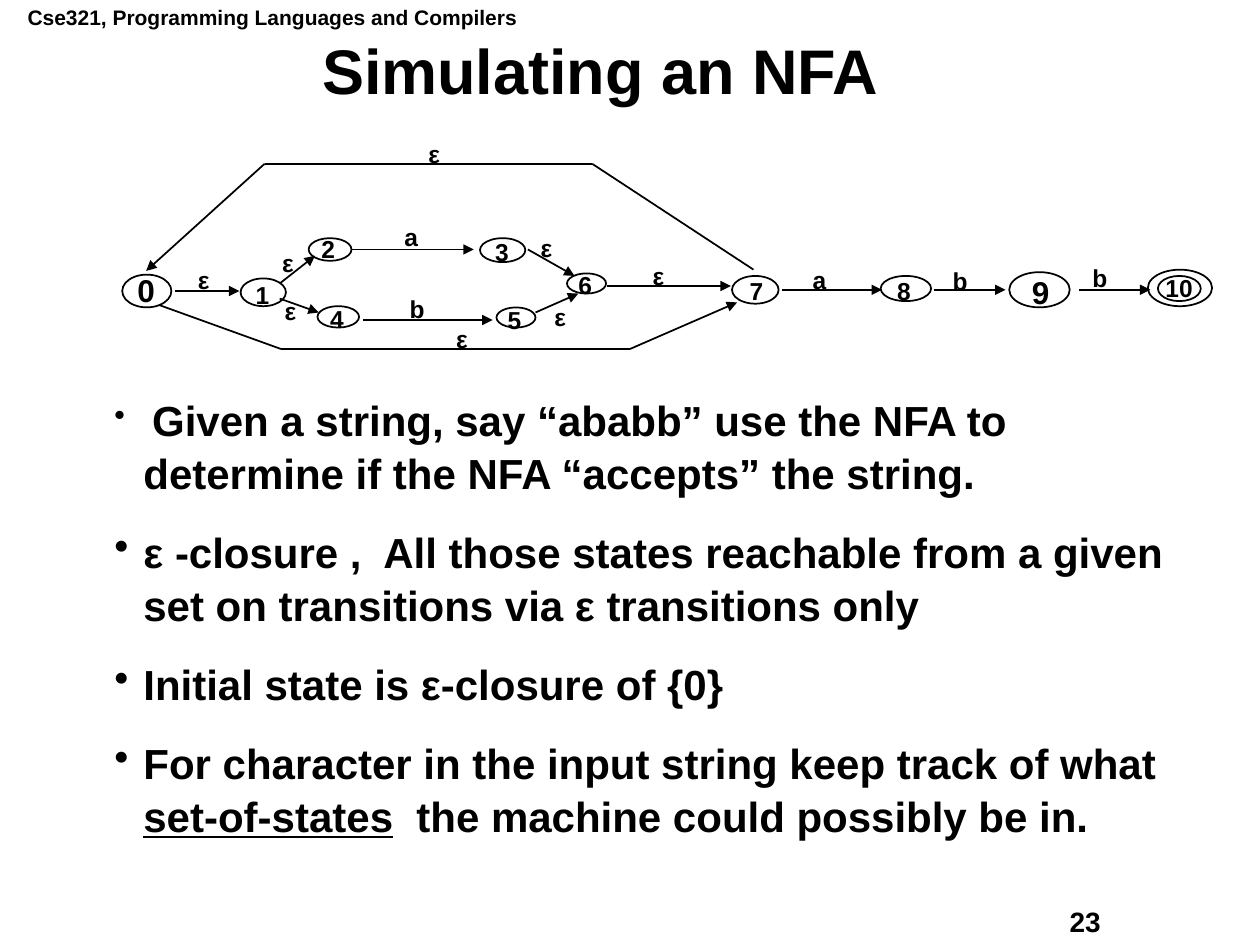
from dataclasses import dataclass

from pptx import Presentation
from pptx import util as u
from pptx.dml import color
from pptx.enum import shapes, text
from pptx.oxml import parse_xml
from pptx.oxml import ns


@dataclass(frozen=True)
class Theme:
    """Colours, font and type sizes of the slide."""
    ink: str = "000000"
    paper: str = "FFFFFF"
    font: str = "Arial"
    header: int = 12
    title: int = 36
    body: int = 24
    lead: int = 18
    state: int = 14
    big_state: int = 18
    page: int = 16
    rule: float = 1


THEME = Theme()
LABEL_HEIGHT = 0.31

STATES = [
    ("0", (0.97, 2.18, 0.39, 0.26), (1.01, 2.11), THEME.big_state),
    ("1", (1.91, 2.21, 0.36, 0.22), (1.95, 2.18), THEME.state),
    ("2", (2.45, 1.89, 0.34, 0.18), (2.47, 1.82), THEME.state),
    ("3", (3.81, 1.89, 0.36, 0.19), (3.85, 1.84), THEME.state),
    ("4", (2.52, 2.43, 0.33, 0.17), (2.54, 2.37), THEME.state),
    ("5", (3.94, 2.44, 0.31, 0.16), (3.95, 2.38), THEME.state),
    ("6", (4.5, 2.17, 0.31, 0.16), (4.51, 2.1), THEME.state),
    ("7", (5.81, 2.19, 0.37, 0.22), (5.87, 2.15), THEME.state),
    ("8", (6.99, 2.19, 0.4, 0.2), (7.04, 2.15), THEME.state),
    ("9", (8.01, 2.16, 0.48, 0.28), (8.11, 2.13), THEME.big_state),
    ("10", (9.19, 2.19, 0.34, 0.2), (9.17, 2.13), THEME.state),
]
ACCEPT_RING = (9.11, 2.14, 0.51, 0.29)

ROUTES = [
    [(1.39, 2.31), (1.9, 2.31)],
    [(2.22, 2.25), (2.5, 2.03)],
    [(2.22, 2.37), (2.53, 2.48)],
    [(2.79, 1.98), (3.76, 1.98)],
    [(2.88, 2.54), (3.91, 2.54)],
    [(4.19, 1.98), (4.56, 2.19)],
    [(4.25, 2.48), (4.59, 2.33)],
    [(4.82, 2.27), (5.8, 2.27)],
    [(6.21, 2.3), (7, 2.3)],
    [(7.41, 2.3), (7.98, 2.3)],
    [(8.56, 2.3), (9.13, 2.3)],
    [(5.98, 2.14), (4.7, 1.3), (2.1, 1.3), (1.16, 2.15)],
    [(1.26, 2.42), (2.23, 2.77), (5, 2.77), (5.85, 2.4)],
]

SYMBOLS = {
    "ε": [(1.49, 2.06), (2.16, 1.93), (2.18, 2.31), (4.21, 1.81), (4.32, 2.36),
          (5.1, 2.03), (3.32, 1.06), (3.54, 2.53)],
    "a": [(3.13, 1.72), (6.37, 2.06)],
    "b": [(3.17, 2.29), (7.48, 2.07), (8.59, 2.05)],
}
SYMBOL_WIDTHS = {"ε": 0.25, "a": 0.27, "b": 0.28}

BULLETS = [
    [(" ", THEME.lead, {}),
     ("Given a string, say “ababb” use the NFA to determine "
      "if the NFA “accepts” the string.", THEME.body, {})],
    [("ε -closure ,  All those states reachable from a given set "
      "on transitions via ε transitions only", THEME.body, {})],
    [("Initial state is ε-closure of {0}", THEME.body, {})],
    [("For character in the input string keep track of what ", THEME.body, {}),
     ("set-of-states", THEME.body, {"underline": True}),
     ("  the machine could possibly be in.", THEME.body, {})],
]


def apply(target, formats):
    """Set each named format value on the target."""
    for name, value in formats.items():
        setattr(target, name, value)


def rgb(value):
    """Turn a hex string into a colour."""
    return color.RGBColor.from_string(value)


def add_run(paragraph, words, size, **extra):
    """Add a bold run in the theme font."""
    run = paragraph.add_run()
    run.text = words
    apply(run.font, {"name": THEME.font, "size": u.Pt(size), "bold": True} | extra)
    run.font.color.rgb = rgb(THEME.ink)


def add_frame(slide, at, pad=0.1, wrap=True, anchor=text.MSO_ANCHOR.TOP):
    """Add an empty text box and return its frame."""
    frame = slide.shapes.add_textbox(*map(u.Inches, at)).text_frame
    apply(frame, {
        "word_wrap": wrap, "vertical_anchor": anchor,
        "auto_size": text.MSO_AUTO_SIZE.NONE if wrap
        else text.MSO_AUTO_SIZE.SHAPE_TO_FIT_TEXT,
        "margin_left": u.Inches(pad), "margin_right": u.Inches(pad),
        "margin_top": u.Inches(pad / 2), "margin_bottom": u.Inches(pad / 2),
    })
    return frame


def add_label(slide, words, spot, width, size):
    """Add a short diagram label."""
    frame = add_frame(slide, (*spot, width, LABEL_HEIGHT), pad=0.08, wrap=False)
    add_run(frame.paragraphs[0], words, size)


def add_oval(slide, at):
    """Add the outline of a state."""
    oval = slide.shapes.add_shape(shapes.MSO_SHAPE.OVAL, *map(u.Inches, at))
    oval.shadow.inherit = False
    oval.fill.solid()
    oval.fill.fore_color.rgb = rgb(THEME.paper)
    oval.line.color.rgb = rgb(THEME.ink)
    oval.line.width = u.Pt(THEME.rule)


def add_route(slide, points):
    """Join the points with lines and put an arrowhead on the last."""
    for start, end in zip(points, points[1:]):
        edge = slide.shapes.add_connector(
            shapes.MSO_CONNECTOR.STRAIGHT, *map(u.Inches, (*start, *end)))
        edge.line.color.rgb = rgb(THEME.ink)
        edge.line.width = u.Pt(THEME.rule)
        properties = edge._element.spPr
        if end == points[-1]:
            properties.find(ns.qn("a:ln")).append(parse_xml(
                f'<a:tailEnd {ns.nsdecls("a")} type="triangle"/>'))
        properties.append(parse_xml(f'<a:effectLst {ns.nsdecls("a")}/>'))


def add_bullets(slide, at, items):
    """Add the bulleted list."""
    frame = add_frame(slide, at)
    for index, runs in enumerate(items):
        paragraph = frame.add_paragraph() if index else frame.paragraphs[0]
        apply(paragraph, {"space_before": u.Pt(15), "line_spacing": 1.05})
        for words, size, extra in runs:
            add_run(paragraph, words, size, **extra)
        properties = paragraph._p.get_or_add_pPr()
        hang = u.Inches(0.23)
        for name, value in {"marL": hang, "indent": -hang}.items():
            properties.set(name, str(value))
        properties.append(parse_xml(f'<a:buChar {ns.nsdecls("a")} char="•"/>'))


def add_diagram(slide):
    """Draw the automaton."""
    add_oval(slide, ACCEPT_RING)
    for _, oval, _, _ in STATES:
        add_oval(slide, oval)
    for points in ROUTES:
        add_route(slide, points)
    for name, _, spot, size in STATES:
        width = 0.16 + len(name) * size / 128
        add_label(slide, name, spot, width, size)
    for symbol, spots in SYMBOLS.items():
        for spot in spots:
            add_label(slide, symbol, spot, SYMBOL_WIDTHS[symbol], THEME.state)


def main():
    """Build and save the slide."""
    deck = Presentation()
    apply(deck, {"slide_width": u.Inches(10), "slide_height": u.Inches(7.5)})
    slide = deck.slides.add_slide(deck.slide_layouts[6])
    header = add_frame(slide, (0.12, -0.01, 4.09, 0.3), wrap=False)
    add_run(header.paragraphs[0], "Cse321, Programming Languages and Compilers",
            THEME.header)
    page = add_frame(slide, (8.39, 7.13, 1.27, 0.36))
    add_run(page.paragraphs[0], "23", THEME.page)
    title = add_frame(slide, (0.31, 0.31, 9.03, 0.56),
                      anchor=text.MSO_ANCHOR.MIDDLE)
    apply(title.paragraphs[0],
          {"alignment": text.PP_ALIGN.CENTER, "line_spacing": 0.9})
    add_run(title.paragraphs[0], "Simulating an NFA ", THEME.title)
    add_bullets(slide, (0.81, 3.06, 8.71, 4.13), BULLETS)
    add_diagram(slide)
    deck.save("out.pptx")


main()
